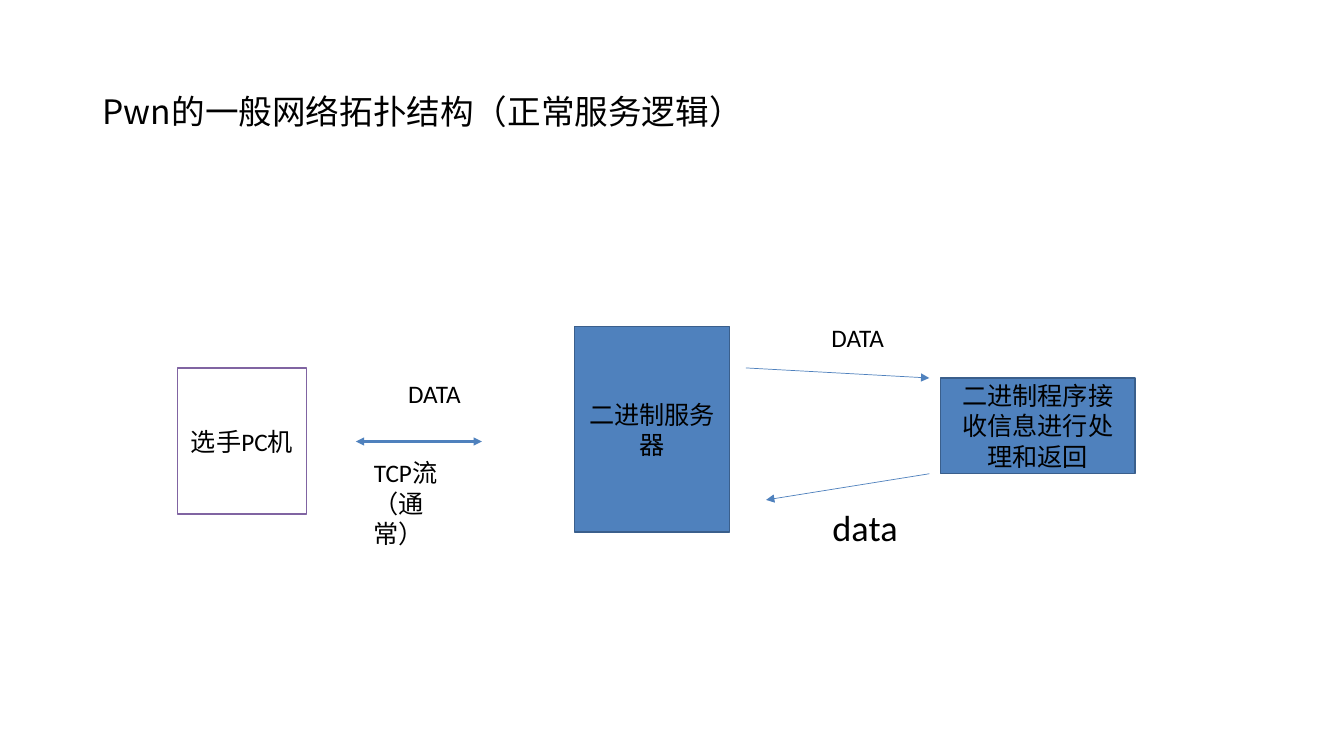
from lxml.etree import SubElement
from pptx import Presentation
from pptx.dml.color import RGBColor
from pptx.enum.shapes import MSO_CONNECTOR as Connector, MSO_SHAPE as Shape
from pptx.enum.text import MSO_ANCHOR as Anchor, PP_ALIGN as Align
from pptx.oxml.ns import qn
from pptx.util import Pt

BLACK = RGBColor(0x00, 0x00, 0x00)
WHITE = RGBColor(0xFF, 0xFF, 0xFF)
BLUE = RGBColor(0x4F, 0x81, 0xBD)
DARK_BLUE = RGBColor(0x3A, 0x5F, 0x8C)
PURPLE = RGBColor(0x80, 0x64, 0xA2)
LATIN = "Calibri"
CHINESE = "Noto Sans CJK SC"

TITLE = "Pwn的一般网络拓扑结构（正常服务逻辑）"
NODES = [
    ("选手PC机", (126.7, 262.8, 92.2, 104.4), WHITE, PURPLE),
    ("二进制服务器", (410.4, 233.3, 110.9, 146.9), BLUE, DARK_BLUE),
    ("二进制程序接收信息进行处理和返回", (671.8, 270, 139, 68.4), BLUE, DARK_BLUE),
]
LABELS = [
    ("DATA", (284.4, 266.4, 59.8, 28.8), {}),
    ("TCP流（通常）", (259.9, 323.3, 85, 51.1), {}),
    ("DATA", (586.8, 226.8, 59.8, 28.8), {}),
    ("data", (587.5, 363.6, 92.2, 33.1), {"size": 25.9, "spacing": 0.8}),
]
ARROWS = [
    ((254.2, 315.4), (344.2, 315.4), 1.5, ("headEnd", "tailEnd")),
    ((532.8, 262.8), (663.8, 270), 0.5, ("tailEnd",)),
    ((663.8, 338.4), (547.2, 357.1), 0.5, ("tailEnd",)),
]


def points(values):
    return [Pt(value) for value in values]


def write_text(shape, text, size=18, font=LATIN, align=Align.LEFT,
               anchor=Anchor.TOP, spacing=1.0):
    frame = shape.text_frame
    frame.word_wrap = True
    frame.vertical_anchor = anchor
    paragraph = frame.paragraphs[0]
    paragraph.alignment = align
    paragraph.line_spacing = spacing
    run = paragraph.add_run()
    run.text = text
    run.font.size = Pt(size)
    run.font.name = font
    run.font.color.rgb = BLACK
    SubElement(run._r.get_or_add_rPr(), qn("a:ea"), typeface=CHINESE)


def add_node(slide, text, box, fill, outline):
    shape = slide.shapes.add_shape(Shape.RECTANGLE, *points(box))
    shape.shadow.inherit = False
    shape.fill.solid()
    shape.fill.fore_color.rgb = fill
    shape.line.color.rgb = outline
    shape.line.width = Pt(1)
    write_text(shape, text, align=Align.CENTER, anchor=Anchor.MIDDLE)


def add_arrow(slide, start, end, width, ends):
    arrow = slide.shapes.add_connector(Connector.STRAIGHT, *points(start + end))
    arrow.line.color.rgb = BLUE
    arrow.line.width = Pt(width)
    line = arrow.line._get_or_add_ln()
    for name in ends:
        SubElement(line, qn(f"a:{name}"), type="triangle")
    SubElement(arrow._element.spPr, qn("a:effectLst"))


def main():
    presentation = Presentation()
    presentation.slide_width, presentation.slide_height = points((960, 540))
    slide = presentation.slides.add_slide(presentation.slide_layouts[5])
    title = slide.shapes.title
    title.left, title.top, title.width, title.height = points((66.2, 28.8, 828, 104.4))
    write_text(title, TITLE, size=24, font=CHINESE, anchor=Anchor.MIDDLE, spacing=0.9)
    for node in NODES:
        add_node(slide, *node)
    for arrow in ARROWS:
        add_arrow(slide, *arrow)
    for text, box, style in LABELS:
        write_text(slide.shapes.add_textbox(*points(box)), text, **style)
    presentation.save("out.pptx")


if __name__ == "__main__":
    main()
